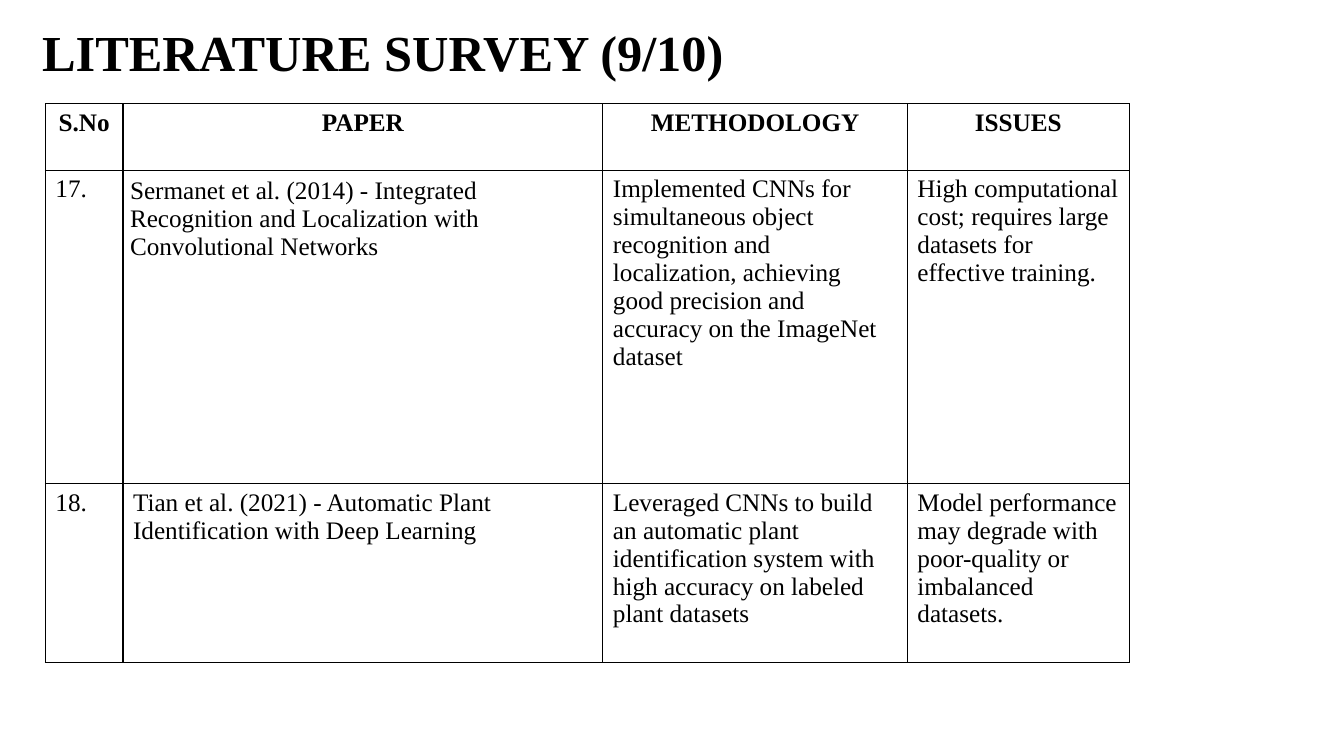
from dataclasses import dataclass

from lxml import etree
from pptx import Presentation
from pptx import util as u
from pptx.dml import color
from pptx.enum import text
from pptx.oxml import ns


@dataclass(frozen=True)
class Theme:
    font: str = "Times New Roman"
    ink: str = "000000"
    paper: str = "FFFFFF"
    title_size: int = 36
    body_size: int = 18
    border: float = 0.96


THEME = Theme()
COLUMNS = [0.77, 4.76, 3.02, 2.2]
ROWS = [0.66, 3.11, 1.77]
SURVEY = [
    ["S.No", "PAPER", "METHODOLOGY", "ISSUES"],
    [
        "17.",
        "Sermanet et al. (2014) - Integrated Recognition and Localization with Convolutional Networks",
        "Implemented CNNs for simultaneous object recognition and localization, "
        "achieving good precision and accuracy on the ImageNet dataset",
        "High computational cost; requires large datasets for effective training.",
    ],
    [
        "18.",
        "Tian et al. (2021) - Automatic Plant Identification with Deep Learning",
        "Leveraged CNNs to build an automatic plant identification system "
        "with high accuracy on labeled plant datasets",
        "Model performance may degrade with poor-quality or imbalanced datasets.",
    ],
]
TIGHT_CELL = (1, 1)


def write(tf, content, size, bold, align=text.PP_ALIGN.LEFT):
    p = tf.paragraphs[0]
    p.alignment = align
    r = p.add_run()
    r.text = content
    formats = {"name": THEME.font, "size": u.Pt(size), "bold": bold}
    for name, value in formats.items():
        setattr(r.font, name, value)
    r.font.color.rgb = color.RGBColor.from_string(THEME.ink)
    return p


def set_borders(cell):
    tc_pr = cell._tc.get_or_add_tcPr()
    for side in ("lnL", "lnR", "lnT", "lnB"):
        line = etree.SubElement(tc_pr, ns.qn(f"a:{side}"), w=str(u.Pt(THEME.border)))
        fill = etree.SubElement(line, ns.qn("a:solidFill"))
        etree.SubElement(fill, ns.qn("a:srgbClr"), val=THEME.ink)


def add_title(s, left, top, width, height):
    box = s.shapes.add_textbox(*map(u.Inches, (left, top, width, height)))
    tf = box.text_frame
    tf.word_wrap = True
    tf.vertical_anchor = text.MSO_ANCHOR.MIDDLE
    p = write(tf, "LITERATURE SURVEY (9/10)", THEME.title_size, True)
    p.line_spacing = 0.9


def add_survey(s, left, top):
    box = map(u.Inches, (left, top, sum(COLUMNS), sum(ROWS)))
    table = s.shapes.add_table(len(ROWS), len(COLUMNS), *box).table
    table.first_row = table.horz_banding = False
    for column, width in zip(table.columns, COLUMNS):
        column.width = u.Inches(width)
    for i, (row, height) in enumerate(zip(table.rows, ROWS)):
        row.height = u.Inches(height)
        header = i == 0
        align = text.PP_ALIGN.CENTER if header else text.PP_ALIGN.LEFT
        for j, cell in enumerate(row.cells):
            set_borders(cell)
            if header:
                cell.fill.solid()
                cell.fill.fore_color.rgb = color.RGBColor.from_string(THEME.paper)
            else:
                cell.fill.background()
            if (i, j) == TIGHT_CELL:
                for side in ("left", "top", "right", "bottom"):
                    setattr(cell, f"margin_{side}", u.Inches(0.07))
            write(cell.text_frame, SURVEY[i][j], THEME.body_size, header, align)


def main():
    prs = Presentation()
    prs.slide_width, prs.slide_height = u.Inches(13.33), u.Inches(7.5)
    s = prs.slides.add_slide(prs.slide_layouts[6])
    add_survey(s, 0.45, 1.03)
    add_title(s, 0.32, -0.13, 11.5, 1.35)
    prs.save("out.pptx")


if __name__ == "__main__":
    main()
